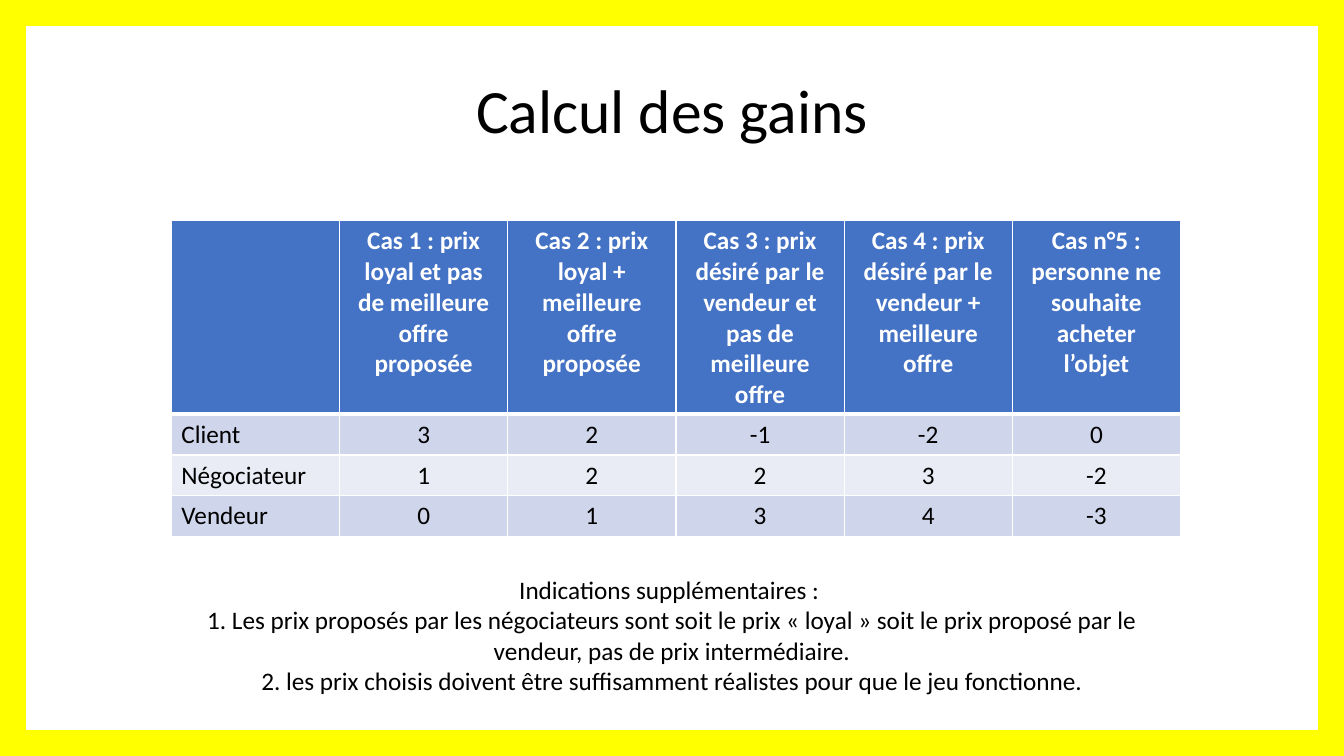
import dataclasses
import pptx
import pptx.util
import pptx.dml.color
import pptx.enum.shapes
import pptx.enum.text
import pptx.oxml
import pptx.oxml.ns

ALIGN = pptx.enum.text.PP_ALIGN


@dataclasses.dataclass(frozen=True)
class Theme:
    font: str = "Calibri"
    ink: str = "000000"
    white: str = "FFFFFF"
    head: str = "4472C4"
    bands: tuple = ("CFD5EA", "E9EBF5")
    frame: str = "FFFF00"
    title: int = 44
    body: int = 18
    edge: float = 37.25
    rule: int = 1
    bar: int = 3


THEME = Theme()
WIDE = pptx.util.Inches(13.33)
HIGH = pptx.util.Inches(7.5)

HEADS = [
    "",
    "Cas 1 : prix loyal et pas de meilleure offre proposée",
    "Cas 2 : prix loyal + meilleure offre proposée",
    "Cas 3 : prix désiré par le vendeur et pas de meilleure offre",
    "Cas 4 : prix désiré par le vendeur + meilleure offre",
    "Cas n°5 : personne ne souhaite acheter l’objet",
]
GAINS = [
    ("Client", 3, 2, -1, -2, 0),
    ("Négociateur", 1, 2, 2, 3, -2),
    ("Vendeur", 0, 1, 3, 4, -3),
]
NOTES = [
    "Indications supplémentaires : ",
    "1. Les prix proposés par les négociateurs sont soit le prix « loyal » "
    "soit le prix proposé par le vendeur, pas de prix intermédiaire.",
    "2. les prix choisis doivent être suffisamment réalistes pour que le jeu fonctionne.",
]


def across(share):
    return round(WIDE * share / 100)


def down(share):
    return round(HIGH * share / 100)


def place(left, top, width, height):
    return across(left), down(top), across(width), down(height)


def color(code):
    return pptx.dml.color.RGBColor.from_string(code)


def style(frame, size, ink, bold=False, align=ALIGN.CENTER):
    for para in frame.paragraphs:
        para.alignment = align
        for run in para.runs:
            run.font.name = THEME.font
            run.font.size = pptx.util.Pt(size)
            run.font.bold = bold
            run.font.color.rgb = color(ink)


def add_text(slide, box, lines, size):
    frame = slide.shapes.add_textbox(*box).text_frame
    frame.word_wrap = True
    frame.text = "\n".join(lines)
    style(frame, size, THEME.ink)
    return frame


def add_edges(cell, top, bottom):
    props = cell._tc.get_or_add_tcPr()
    rule = THEME.rule
    for side, width in (("L", rule), ("R", rule), ("T", top), ("B", bottom)):
        props.append(pptx.oxml.parse_xml(
            f'<a:ln{side} {pptx.oxml.ns.nsdecls("a")} w="{pptx.util.Pt(width)}">'
            f'<a:solidFill><a:srgbClr val="{THEME.white}"/></a:solidFill></a:ln{side}>'
        ))


def fill_cell(cell, text, row, col):
    head = row == 0
    add_edges(cell, THEME.bar if row == 1 else THEME.rule,
              THEME.bar if head else THEME.rule)
    cell.fill.solid()
    cell.fill.fore_color.rgb = color(THEME.head if head else THEME.bands[(row - 1) % 2])
    cell.text_frame.text = str(text)
    style(cell.text_frame, THEME.body, THEME.white if head else THEME.ink,
          head, ALIGN.CENTER if head or col else ALIGN.LEFT)


def add_grid(slide, box, rows, tall, low):
    table = slide.shapes.add_table(len(rows), len(rows[0]), *box).table
    for col in table.columns:
        col.width = box[2] // len(rows[0])
    for num, texts in enumerate(rows):
        table.rows[num].height = low if num else tall
        for col, text in enumerate(texts):
            fill_cell(table.cell(num, col), text, num, col)


def add_frame(slide):
    kind = pptx.enum.shapes.MSO_SHAPE.RECTANGLE
    frame = slide.shapes.add_shape(kind, *place(0, 0, 100, 100))
    frame.shadow.inherit = False
    frame.fill.background()
    frame.line.color.rgb = color(THEME.frame)
    frame.line.width = pptx.util.Pt(THEME.edge)


def main():
    deck = pptx.Presentation()
    deck.slide_width, deck.slide_height = WIDE, HIGH
    slide = deck.slides.add_slide(deck.slide_layouts[6])
    title = add_text(slide, place(6.9, 5.33, 86.25, 19.33), ["Calcul des gains"], THEME.title)
    title.vertical_anchor = pptx.enum.text.MSO_ANCHOR.MIDDLE
    title.paragraphs[0].line_spacing = 0.9
    add_grid(slide, place(12.75, 29.2, 75.1, 41.6), [HEADS, *GAINS], down(25.6), down(5.4))
    add_frame(slide)
    add_text(slide, place(12.15, 75.33, 75.7, 17.47), NOTES, THEME.body)
    deck.save("out.pptx")


if __name__ == "__main__":
    main()
